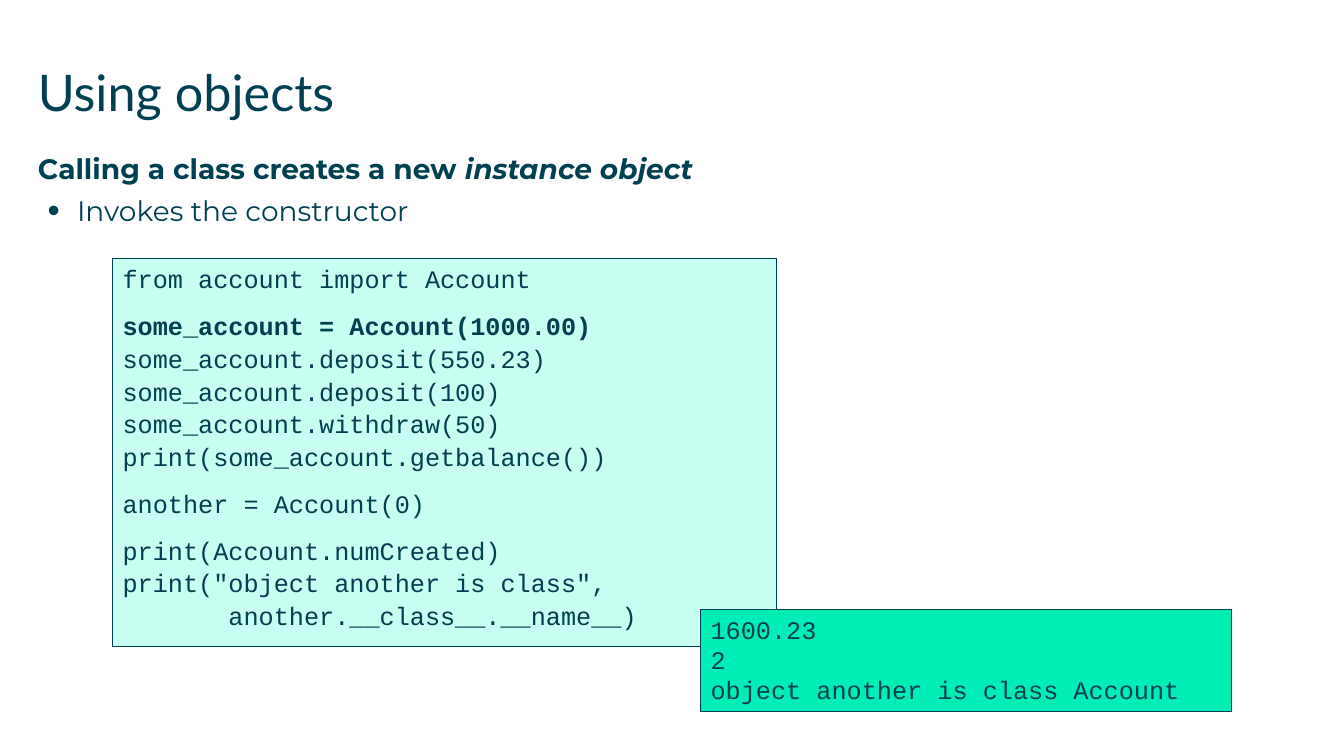
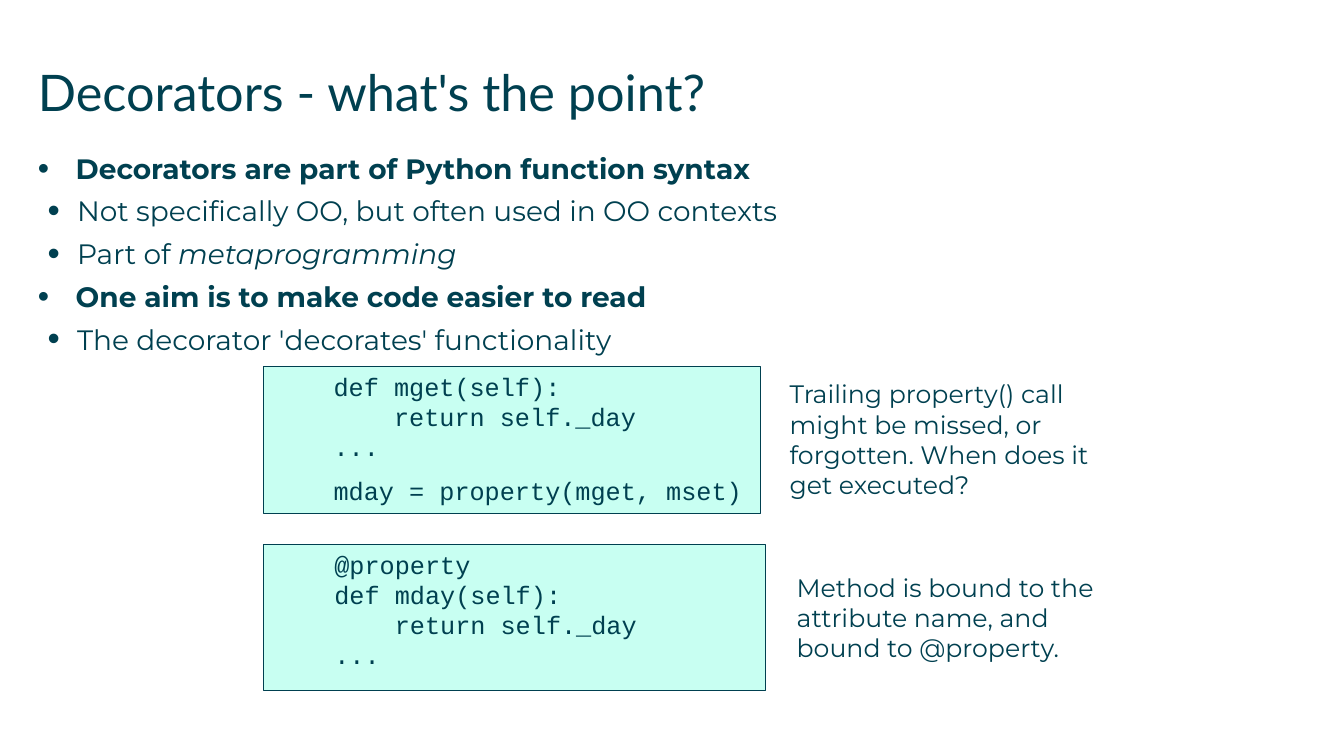
from dataclasses import dataclass

from lxml import etree
from pptx import Presentation
from pptx.dml.color import RGBColor
from pptx.enum.shapes import MSO_SHAPE
from pptx.enum.text import MSO_ANCHOR, MSO_AUTO_SIZE, PP_ALIGN
from pptx.oxml.ns import qn
from pptx.util import Pt

RECTANGLE = MSO_SHAPE.RECTANGLE
TOP = MSO_ANCHOR.TOP
NO_AUTOFIT = MSO_AUTO_SIZE.NONE
LEFT = PP_ALIGN.LEFT


@dataclass(frozen=True)
class Theme:
    ink: RGBColor = RGBColor(0x00, 0x40, 0x50)
    code_fill: RGBColor = RGBColor(0xC8, 0xFF, 0xF2)
    output_fill: RGBColor = RGBColor(0x00, 0xED, 0xB5)
    title_font: str = "Lato"
    text_font: str = "Montserrat"
    code_font: str = "Courier New"
    title_size: float = 36
    body_size: float = 20
    small_size: float = 18
    code_pitch: float = 21.4
    block_gap: float = 10
    list_gap: float = 6.5
    outline: float = 0.75


class Deck:
    """Holds the style and the slide being filled."""

    def __init__(self, theme):
        self.theme = theme
        self.presentation = Presentation()
        self.presentation.slide_width = Pt(960)
        self.presentation.slide_height = Pt(540)
        self.slide = None

    def style(self, font, name, size, bold=False, italic=False):
        font.name, font.size = name, Pt(size)
        font.bold, font.italic = bold, italic
        font.color.rgb = self.theme.ink

    def placeholder(self, shape, left, top, width, height):
        shape.left, shape.top = Pt(left), Pt(top)
        shape.width, shape.height = Pt(width), Pt(height)
        frame = shape.text_frame
        frame.margin_left = frame.margin_right = 0
        frame.margin_top = frame.margin_bottom = 0
        frame.vertical_anchor = TOP
        frame.auto_size = NO_AUTOFIT
        frame.word_wrap = True
        return frame

    def new_slide(self, title):
        layout = self.presentation.slide_layouts[1]
        self.slide = self.presentation.slides.add_slide(layout)
        frame = self.placeholder(self.slide.shapes.title, 27, 44, 907, 63)
        frame.text = title
        paragraph = frame.paragraphs[0]
        paragraph.alignment = LEFT
        self.style(paragraph.runs[0].font, self.theme.title_font, self.theme.title_size)

    def bullet(self, paragraph, margin, hanging, percent):
        """Set indent and bullet; a percent of 0 means no bullet."""
        properties = paragraph._p.get_or_add_pPr()
        properties.set("marL", str(Pt(margin)))
        properties.set("indent", str(-Pt(hanging)))
        if percent:
            size = etree.SubElement(properties, qn("a:buSzPct"))
            size.set("val", str(percent * 1000))
            etree.SubElement(properties, qn("a:buChar")).set("char", "•")
        else:
            etree.SubElement(properties, qn("a:buNone"))

    def body(self, items, bulleted_heads=False):
        """Fill the list from (level, text); *stars* mark italics."""
        frame = self.placeholder(self.slide.placeholders[1], 27, 108, 907, 390)
        for index, (level, text) in enumerate(items):
            paragraph = frame.add_paragraph() if index else frame.paragraphs[0]
            paragraph.level = level
            if level:
                self.bullet(paragraph, 28, 21, 125)
            elif bulleted_heads:
                self.bullet(paragraph, 27, 27, 115)
            else:
                self.bullet(paragraph, 0, 0, 0)
            paragraph.space_before = Pt(0)
            paragraph.space_after = Pt(self.theme.list_gap)
            for part, words in enumerate(text.split("*")):
                if words:
                    run = paragraph.add_run()
                    run.text = words
                    self.style(run.font, self.theme.text_font, self.theme.body_size,
                               bold=level == 0, italic=part % 2 == 1)

    def code_box(self, left, top, width, height, blocks, fill=None,
                 line_gap=0, bold_line=None):
        """Draw a box of code; blocks are set apart by a small gap."""
        shape = self.slide.shapes.add_shape(
            RECTANGLE, Pt(left), Pt(top), Pt(width), Pt(height))
        shape.shadow.inherit = False
        shape.fill.solid()
        shape.fill.fore_color.rgb = fill or self.theme.code_fill
        shape.line.color.rgb = self.theme.ink
        shape.line.width = Pt(self.theme.outline)
        frame = shape.text_frame
        frame.vertical_anchor = TOP
        frame.word_wrap = True
        frame.text = "\n".join(line for block in blocks for line in block)
        paragraphs = iter(frame.paragraphs)
        for block_index, block in enumerate(blocks):
            for line_index, line in enumerate(block):
                paragraph = next(paragraphs)
                paragraph.alignment = LEFT
                paragraph.line_spacing = Pt(self.theme.code_pitch)
                if block_index or line_index:
                    extra = 0 if line_index else self.theme.block_gap
                    paragraph.space_before = Pt(line_gap + extra)
                self.style(paragraph.runs[0].font, self.theme.code_font,
                           self.theme.small_size, bold=line == bold_line)

    def remark(self, left, top, width, height, text):
        box = self.slide.shapes.add_textbox(Pt(left), Pt(top), Pt(width), Pt(height))
        frame = box.text_frame
        frame.word_wrap = True
        frame.text = text
        self.style(frame.paragraphs[0].runs[0].font,
                   self.theme.text_font, self.theme.small_size)


def using_objects(deck):
    deck.new_slide("Using objects")
    deck.body([
        (0, "Calling a class creates a new *instance object*"),
        (1, "Invokes the constructor"),
    ])
    # Program and what it prints
    creation = "some_account = Account(1000.00)"
    deck.code_box(80.5, 185, 474, 277, [
        ["from account import Account"],
        [creation,
         "some_account.deposit(550.23)",
         "some_account.deposit(100)",
         "some_account.withdraw(50)",
         "print(some_account.getbalance())"],
        ["another = Account(0)"],
        ["print(Account.numCreated)",
         'print("object another is class",',
         "       another.__class__.__name__)"],
    ], line_gap=2, bold_line=creation)
    deck.code_box(500.5, 435.5, 379, 73, [
        ["1600.23", "2", "object another is class Account"],
    ], fill=deck.theme.output_fill)


def decorators(deck):
    deck.new_slide("Decorators - what's the point?")
    deck.body([
        (0, "Decorators are part of Python function syntax"),
        (1, "Not specifically OO, but often used in OO contexts"),
        (1, "Part of *metaprogramming*"),
        (0, "One aim is to make code easier to read"),
        (1, "The decorator 'decorates' functionality"),
    ], bulleted_heads=True)
    # Property by a trailing call, then by a decorator
    deck.code_box(188, 262, 355, 104.5, [
        ["    def mget(self):",
         "        return self._day",
         "    ..."],
        ["    mday = property(mget, mset)"],
    ])
    deck.code_box(188.5, 389, 358.5, 104.5, [
        ["    @property",
         "    def mday(self):",
         "        return self._day",
         "    ..."],
    ])
    # Remarks beside the code
    deck.remark(557, 267, 232, 94.5,
                "Trailing property() call might be missed, or forgotten. "
                "When does it get executed?")
    deck.remark(562, 405, 232.5, 73,
                "Method is bound to the attribute name, and bound to @property.")


def main():
    deck = Deck(Theme())
    using_objects(deck)
    decorators(deck)
    deck.presentation.save("out.pptx")


if __name__ == "__main__":
    main()
